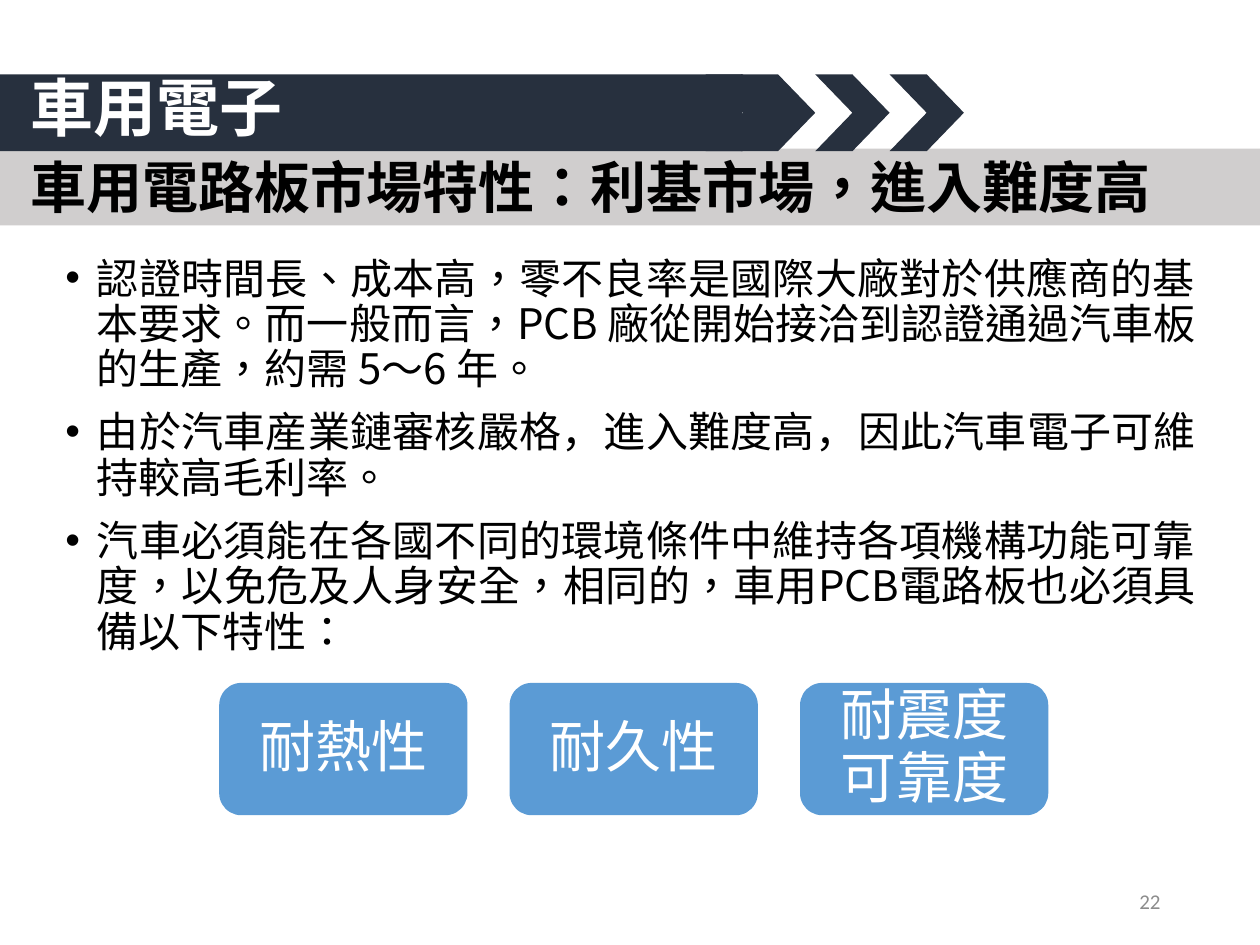
import pptx
import pptx.util
import pptx.dml.color
import pptx.enum.lang
import pptx.enum.shapes
import pptx.enum.text
import pptx.oxml
import pptx.oxml.ns

Inches = pptx.util.Inches
Pt = pptx.util.Pt
SHAPE = pptx.enum.shapes.MSO_SHAPE
ALIGN = pptx.enum.text.PP_ALIGN
ANCHOR = pptx.enum.text.MSO_ANCHOR
LANGUAGE = pptx.enum.lang.MSO_LANGUAGE_ID

CJK_FONT = "Noto Sans CJK SC"
COLORS = {"navy": "27303E", "gray": "D0CECE", "blue": "5B9BD5",
          "white": "FFFFFF", "black": "000000", "number": "8C8C8C"}


def write_text(shape, lines, size, color, font=CJK_FONT, bold=False, align=ALIGN.LEFT,
               anchor=ANCHOR.TOP, line_height=None, space_before=0, bullet=None):
    """Write one paragraph per line; a line is a string or a list of (text, language) runs."""
    frame = shape.text_frame
    frame.word_wrap = True
    frame.auto_size = pptx.enum.text.MSO_AUTO_SIZE.NONE
    frame.vertical_anchor = anchor
    namespace = pptx.oxml.ns.nsdecls("a")
    for index, line in enumerate(lines):
        paragraph = frame.paragraphs[0] if index == 0 else frame.add_paragraph()
        paragraph.alignment = align
        paragraph.space_before = Pt(space_before if index else 0)
        if line_height:
            paragraph.line_spacing = Pt(line_height)
        if bullet:
            properties = paragraph._p.get_or_add_pPr()
            properties.set("marL", str(Inches(0.25)))
            properties.set("indent", str(Inches(-0.25)))
            properties.append(pptx.oxml.parse_xml(f'<a:buFont {namespace} typeface="Arial"/>'))
            properties.append(pptx.oxml.parse_xml(f'<a:buChar {namespace} char="{bullet}"/>'))
        runs = [(line, LANGUAGE.TRADITIONAL_CHINESE)] if isinstance(line, str) else line
        for text, language in runs:
            run = paragraph.add_run()
            run.text = text
            run.font.name = font
            run.font.size = Pt(size)
            run.font.bold = bold
            run.font.color.rgb = pptx.dml.color.RGBColor.from_string(COLORS[color])
            run.font.language_id = language
            run.font._element.append(
                pptx.oxml.parse_xml(f'<a:ea {namespace} typeface="{font}"/>'))


def add_filled_shape(kind, left, top, width, height, color):
    shape = slide.shapes.add_shape(kind, Inches(left), Inches(top), Inches(width), Inches(height))
    shape.shadow.inherit = False
    shape.fill.solid()
    shape.fill.fore_color.rgb = pptx.dml.color.RGBColor.from_string(COLORS[color])
    shape.line.fill.background()
    return shape


presentation = pptx.Presentation()
presentation.slide_width = Inches(10)
presentation.slide_height = Inches(7.5)
slide = presentation.slides.add_slide(presentation.slide_layouts[5])

# Header bands and chevrons
add_filled_shape(SHAPE.RECTANGLE, 0, 1.18, 10, 0.61, "gray")
add_filled_shape(SHAPE.RECTANGLE, 0, 0.59, 5.89, 0.61, "navy")
for left in (5.6, 5.88, 6.47, 7.06):
    add_filled_shape(SHAPE.CHEVRON, left, 0.59, 0.59, 0.61, "navy")

# Title, brought in front of the bands
title = slide.shapes.title
title.left, title.top, title.width, title.height = (
    Inches(0.14), Inches(0.48), Inches(5.87), Inches(0.71))
write_text(title, ["車用電子"], size=36, color="white", bold=True, line_height=44)
title.element.getparent().append(title.element)

# Subtitle
subtitle = slide.shapes.add_textbox(Inches(0.14), Inches(1.15), Inches(9.65), Inches(0.64))
write_text(subtitle, ["車用電路板市場特性：利基市場，進入難度高"],
           size=32, color="black", bold=True, line_height=39)

# Bullet points
body = slide.shapes.add_textbox(Inches(0.42), Inches(1.99), Inches(9.17), Inches(3.3))
write_text(body, [
    "認證時間長、成本高，零不良率是國際大廠對於供應商的基本要求。而一般而言，PCB 廠從開始接洽到認證通過汽車板的生產，約需 5～6 年。",
    [("由於汽車産業鏈審核嚴格，進入難度高，", LANGUAGE.SIMPLIFIED_CHINESE),
     ("因此汽車電子可維持較高毛利率。", LANGUAGE.TRADITIONAL_CHINESE)],
    "汽車必須能在各國不同的環境條件中維持各項機構功能可靠度，以免危及人身安全，相同的，車用PCB電路板也必須具備以下特性：",
], size=24, color="black", align=ALIGN.JUSTIFY, line_height=26, space_before=10, bullet="•")

# Required properties
for index, lines in enumerate((["耐熱性"], ["耐久性"], ["耐震度", "可靠度"])):
    box = add_filled_shape(SHAPE.ROUNDED_RECTANGLE, 1.74 + 2.305 * index, 5.42, 1.97, 1.05, "blue")
    box.text_frame.margin_top = 0
    box.text_frame.margin_bottom = Inches(0.03)
    write_text(box, lines, size=32, color="white", align=ALIGN.CENTER,
               anchor=ANCHOR.MIDDLE, line_height=36)

# Slide number
number = slide.shapes.add_textbox(Inches(7.06), Inches(6.95), Inches(2.25), Inches(0.4))
write_text(number, ["22"], size=12, color="number", font="Calibri",
           align=ALIGN.RIGHT, anchor=ANCHOR.MIDDLE)

presentation.save("out.pptx")
